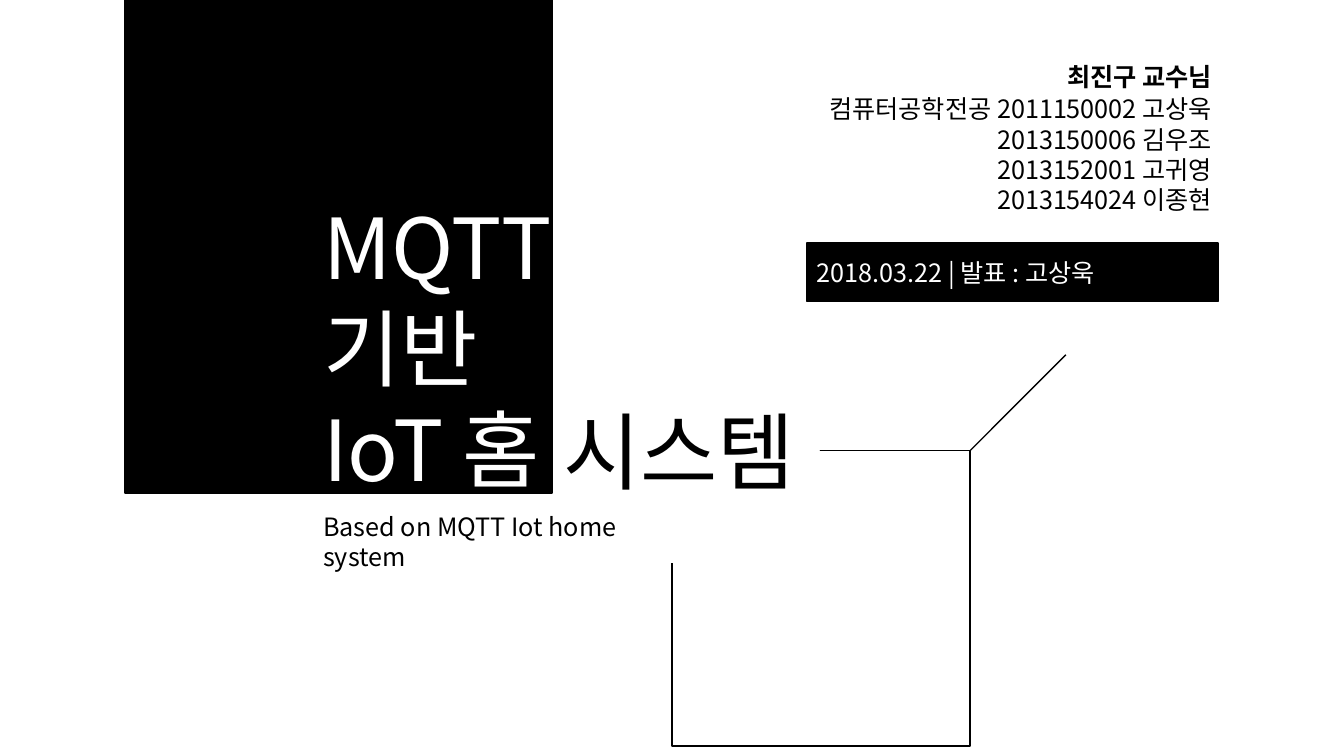
from dataclasses import dataclass

from pptx import Presentation
from pptx.dml.color import RGBColor as RGB
from pptx.enum.shapes import MSO_CONNECTOR as CONN, MSO_SHAPE as SHAPE
from pptx.enum.text import MSO_ANCHOR as ANCHOR, MSO_AUTO_SIZE as AUTO, PP_ALIGN as ALIGN
from pptx.oxml.ns import qn
from pptx.util import Inches, Pt


@dataclass(frozen=True)
class Theme:
    font: str = "Noto Sans CJK KR"
    black: RGB = RGB(0, 0, 0)
    white: RGB = RGB(255, 255, 255)
    title: int = 60
    body: int = 18
    leading: float = 1.2
    line: float = 1


T = Theme()


def add_box(s, x, y, w, h, fill, line):
    sp = s.shapes.add_shape(SHAPE.RECTANGLE, Inches(x), Inches(y), Inches(w), Inches(h))
    sp.shadow.inherit = False
    sp.fill.solid()
    sp.fill.fore_color.rgb = fill
    sp.line.color.rgb = line
    sp.line.width = Pt(T.line)
    return sp


def add_text_box(s, x, y, w, h):
    return s.shapes.add_textbox(Inches(x), Inches(y), Inches(w), Inches(h))


def write(sp, lines, size, color, align=ALIGN.LEFT, anchor=ANCHOR.TOP, bold=False):
    tf = sp.text_frame
    tf.word_wrap = True
    tf.auto_size = AUTO.NONE
    tf.vertical_anchor = anchor
    for i, line in enumerate(lines):
        p = tf.add_paragraph() if i else tf.paragraphs[0]
        p.alignment = align
        p.line_spacing = Pt(size * T.leading)
        r = p.add_run()
        r.text = line
        r.font.name = T.font
        r.font.size = Pt(size)
        r.font.bold = bold
        r.font.color.rgb = color
        ea = r.font._element.makeelement(qn("a:ea"), {"typeface": T.font})
        r.font._element.find(qn("a:latin")).addnext(ea)
    return tf


def add_cube_outline(s, x, y, w, h):
    add_box(s, x, y, w, h, T.white, T.black)
    add_box(s, x - 0.07, y, 1.53, 1.11, T.white, T.white)
    edge = s.shapes.add_connector(
        CONN.STRAIGHT, Inches(x + w), Inches(y), Inches(x + w + 0.95), Inches(y - 0.95))
    edge.line.color.rgb = T.black
    edge.line.width = Pt(T.line)
    sp_pr = edge._element.spPr
    sp_pr.append(sp_pr.makeelement(qn("a:effectLst"), {}))


def add_title_block(s, x, y, w, h):
    add_box(s, x, y, w, h, T.black, T.black)
    title = s.shapes.title
    title.left, title.top = Inches(x + 1.87), Inches(y + 1.89)
    title.width, title.height = Inches(2.55), Inches(3.1)
    write(title, ["MQTT", "기반", "IoT 홈"], T.title, T.white)
    s.shapes._spTree.append(title._element)
    write(add_text_box(s, x + 4.25, y + 3.91, 2.63, 1.1), ["시스템"], T.title, T.black)
    write(add_text_box(s, x + 1.87, y + 5.02, 3.93, 0.4),
          ["Based on MQTT Iot home system"], T.body, T.black)


def add_team_block(s, x, y, w):
    write(add_text_box(s, x + w - 1.68, y, 1.68, 0.4), ["최진구 교수님"],
          T.body, T.black, ALIGN.RIGHT, bold=True)
    team = ["컴퓨터공학전공 2011150002 고상욱", "2013150006 김우조",
            "2013152001 고귀영", "2013154024 이종현"]
    tf = write(add_text_box(s, x, y + 0.32, w, 1.3), team, T.body, T.black, ALIGN.RIGHT)
    tf.margin_left = 0
    bar = add_box(s, x + 0.01, y + 1.85, w - 0.05, 0.58, T.black, T.black)
    write(bar, ["2018.03.22 | 발표 : 고상욱"], T.body, T.white, anchor=ANCHOR.MIDDLE)


def main():
    prs = Presentation()
    prs.slide_width, prs.slide_height = Inches(13.34), Inches(7.5)
    s = prs.slides.add_slide(prs.slide_layouts[5])
    add_cube_outline(s, 6.67, 4.47, 2.96, 2.93)
    add_title_block(s, 1.24, 0, 4.24, 4.89)
    add_team_block(s, 8, 0.56, 4.13)
    prs.save("out.pptx")


if __name__ == "__main__":
    main()
